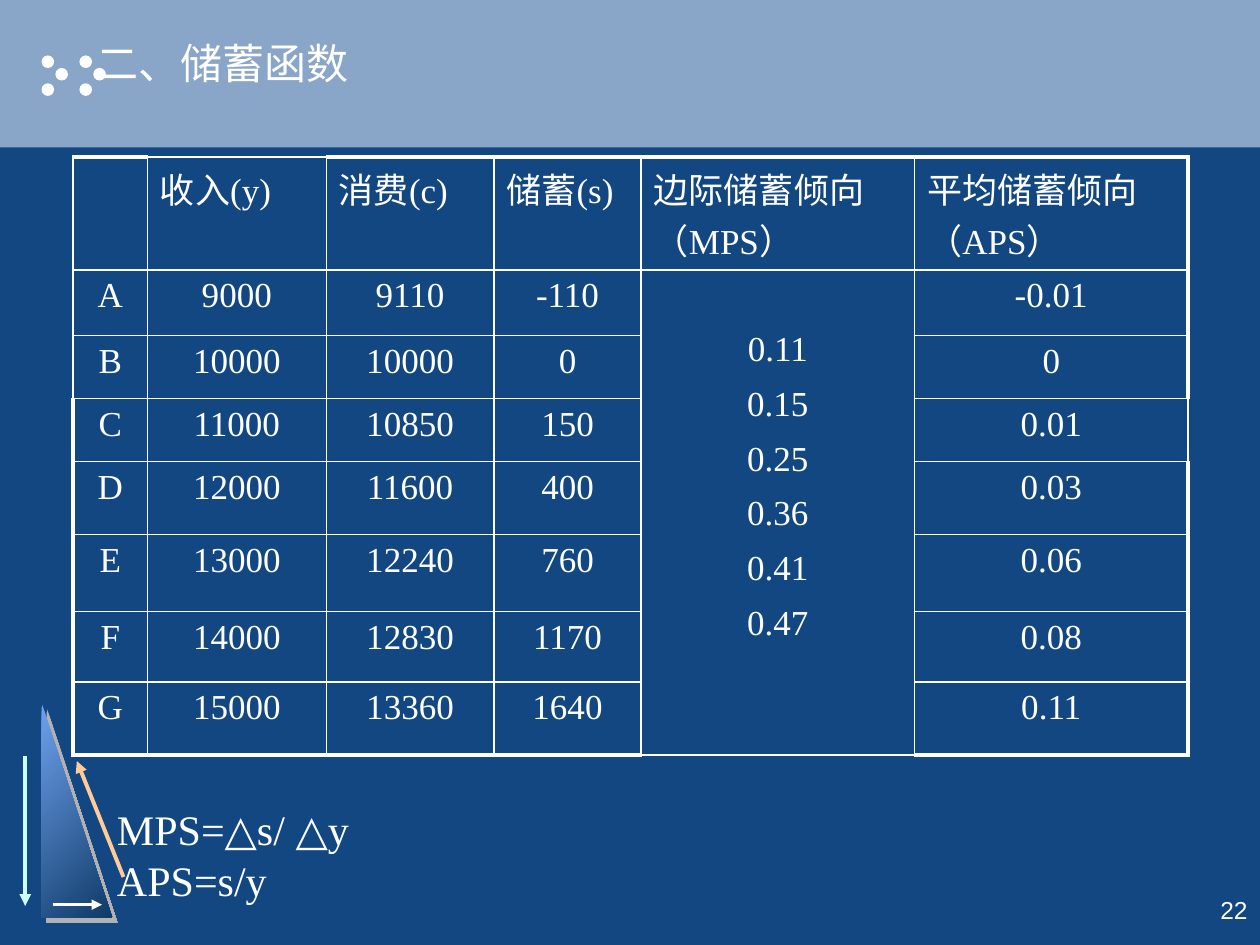
from lxml import etree
from pptx import Presentation
from pptx.dml.color import RGBColor
from pptx.enum.shapes import MSO_CONNECTOR, MSO_SHAPE
from pptx.enum.text import MSO_ANCHOR, PP_ALIGN
from pptx.oxml.ns import qn
from pptx.util import Emu, Inches, Pt

LEFT, CENTER, RIGHT = PP_ALIGN.LEFT, PP_ALIGN.CENTER, PP_ALIGN.RIGHT
TOP, MIDDLE = MSO_ANCHOR.TOP, MSO_ANCHOR.MIDDLE
RECTANGLE, OVAL, RIGHT_TRIANGLE = MSO_SHAPE.RECTANGLE, MSO_SHAPE.OVAL, MSO_SHAPE.RIGHT_TRIANGLE
STRAIGHT = MSO_CONNECTOR.STRAIGHT

COLORS = {
    "background": "134781", "band": "89A5C7", "white": "FFFFFF",
    "light": "6FA2ED", "dark": "0F3A68", "shadow": "B2B2B2",
    "fall": "CCFFFF", "climb": "FFCC99",
}
SERIF, SANS = "Times New Roman", "Arial"
WIDTH, HEIGHT = Inches(10), Inches(7.5)
THIN, THICK = Pt(1), Pt(2.25)

# Boxes are left, top, width, height in percent of the slide
BAND = (0, 0, 100, 15.6)
DOTS = (3.3, 5.87, 5.1, 4.27)
SLOPE = (2, 74.4, 7.8, 22.67)
TITLE = (6.7, 3.33, 22, 6.67)
FORMULAS = (8.3, 84.4, 32.8, 12)
TABLE = (5.8, 16.6, 88.5, 63.33)
PAGE_NUMBER = (74.5, 93.33, 25.5, 6.67)

COLUMN_WEIGHTS = (59, 142, 133, 117, 217, 217)
ROW_WEIGHTS = (90, 52, 50, 50, 58, 61, 56, 58)
HEADINGS = ("", "收入(y)", "消费(c)", "储蓄(s)", "边际储蓄倾向（MPS）", "平均储蓄倾向（APS）")
MPS_COLUMN = 4
MPS_VALUES = ("0.11", "0.15", "0.25", "0.36", "0.41", "0.47")
SAVINGS = (
    ("A", "9000", "9110", "-110", "-0.01"),
    ("B", "10000", "10000", "0", "0"),
    ("C", "11000", "10850", "150", "0.01"),
    ("D", "12000", "11600", "400", "0.03"),
    ("E", "13000", "12240", "760", "0.06"),
    ("F", "14000", "12830", "1170", "0.08"),
    ("G", "15000", "13360", "1640", "0.11"),
)


def rgb(name):
    return RGBColor.from_string(COLORS[name])


def inside(box, left, top, width=0, height=0):
    """Turn percents of a box into percents of the slide."""
    return (box[0] + box[2] * left / 100, box[1] + box[3] * top / 100,
            box[2] * width / 100, box[3] * height / 100)


def lengths(box):
    sides = (WIDTH, HEIGHT, WIDTH, HEIGHT)
    return [Emu(round(side * share / 100)) for side, share in zip(sides, box)]


def write(frame, *lines, size=20, font=SERIF, align=LEFT, before=0):
    for index, line in enumerate(lines):
        paragraph = frame.paragraphs[0] if index == 0 else frame.add_paragraph()
        paragraph.alignment = align
        paragraph.space_before = Pt(before if index else 0)
        run = paragraph.add_run()
        run.text = line
        run.font.size, run.font.name = Pt(size), font
        run.font.color.rgb = rgb("white")


def add_text(slide, box, *lines, anchor=TOP, margin_top=0.05, margin_right=0.1, **style):
    frame = slide.shapes.add_textbox(*lengths(box)).text_frame
    frame.word_wrap = True
    frame.vertical_anchor = anchor
    frame.margin_top, frame.margin_right = Inches(margin_top), Inches(margin_right)
    write(frame, *lines, **style)


def add_solid(slide, preset, box, color):
    shape = slide.shapes.add_shape(preset, *lengths(box))
    shape.shadow.inherit = False
    shape.fill.solid()
    shape.fill.fore_color.rgb = rgb(color)
    shape.line.fill.background()
    return shape


def add_arrow(slide, box, start, end, color, weight):
    points = lengths(inside(box, *start))[:2] + lengths(inside(box, *end))[:2]
    arrow = slide.shapes.add_connector(STRAIGHT, *points)
    arrow.line.color.rgb = rgb(color)
    arrow.line.width = Pt(weight)
    etree.SubElement(arrow.line._get_or_add_ln(), qn("a:tailEnd"), type="triangle")
    etree.SubElement(arrow._element.spPr, qn("a:effectLst"))


def add_dots(slide, box):
    for start in (0, 59):
        for across, down in ((0, 0), (21.5, 31), (0, 69)):
            add_solid(slide, OVAL, inside(box, start + across, down, 19.6, 31.25), "white")


def add_slope(slide, box):
    # Shaded triangle
    triangle = add_solid(slide, RIGHT_TRIANGLE, inside(box, 16.67, 0, 71.8, 100), "light")
    triangle.fill.gradient()
    triangle.fill.gradient_angle = 315
    for stop, color in zip(triangle.fill.gradient_stops, ("light", "dark")):
        stop.color.rgb = rgb(color)
    effects = triangle._element.spPr.find(qn("a:effectLst"))
    shadow = etree.SubElement(effects, qn("a:outerShdw"), dist=str(Pt(4.2)),
                              dir=str(45 * 60000), algn="ctr", rotWithShape="0")
    etree.SubElement(shadow, qn("a:srgbClr"), val=COLORS["shadow"])
    # Arrows along its sides
    add_arrow(slide, box, (0, 24.7), (0, 94.7), "fall", 2.25)
    add_arrow(slide, box, (100, 81.18), (52.56, 27.06), "climb", 2.25)
    add_arrow(slide, box, (28.2, 94.12), (78.2, 94.12), "white", 1.5)


def set_borders(cell, row, column):
    thick_sides = {
        "L": column == 0 and row >= 3,
        "R": column == len(COLUMN_WEIGHTS) - 1 and row != 3,
        "T": row == 0 and column != 1,
        "B": row == len(ROW_WEIGHTS) - 1,
    }
    properties = cell._tc.get_or_add_tcPr()
    for side, thick in thick_sides.items():
        border = etree.SubElement(properties, qn(f"a:ln{side}"), w=str(THICK if thick else THIN))
        fill = etree.SubElement(border, qn("a:solidFill"))
        etree.SubElement(fill, qn("a:srgbClr"), val=COLORS["white"])


def add_savings_table(slide, box):
    left, top, width, height = lengths(box)
    table = slide.shapes.add_table(len(ROW_WEIGHTS), len(COLUMN_WEIGHTS),
                                   left, top, width, height).table
    table.first_row = table.horz_banding = False
    for column, weight in zip(table.columns, COLUMN_WEIGHTS):
        column.width = Emu(width * weight // sum(COLUMN_WEIGHTS))
    for row, weight in zip(table.rows, ROW_WEIGHTS):
        row.height = Emu(height * weight // sum(ROW_WEIGHTS))

    # Headings and values
    for r in range(len(ROW_WEIGHTS)):
        entries = list(HEADINGS if r == 0 else SAVINGS[r - 1])
        if r:
            entries.insert(MPS_COLUMN, "")
        for c, entry in enumerate(entries):
            cell = table.cell(r, c)
            set_borders(cell, r, c)
            cell.fill.background()
            if entry:
                write(cell.text_frame, entry, align=CENTER if r else LEFT)

    # Marginal values stand between the rows they compare
    marginal = table.cell(1, MPS_COLUMN)
    marginal.merge(table.cell(len(SAVINGS), MPS_COLUMN))
    marginal.margin_top = Inches(0.48)
    write(marginal.text_frame, *MPS_VALUES, align=CENTER, before=9)


def main():
    deck = Presentation()
    deck.slide_width, deck.slide_height = WIDTH, HEIGHT
    slide = deck.slides.add_slide(deck.slide_layouts[6])
    slide.background.fill.solid()
    slide.background.fill.fore_color.rgb = rgb("background")

    # Decoration
    add_solid(slide, RECTANGLE, BAND, "band")
    add_dots(slide, DOTS)
    add_slope(slide, SLOPE)

    # Content
    add_text(slide, TITLE, "二、储蓄函数", size=24, anchor=MIDDLE, margin_right=0)
    add_text(slide, FORMULAS, "MPS=△s/ △y", "APS=s/y", size=24)
    add_savings_table(slide, TABLE)
    add_text(slide, PAGE_NUMBER, "22", size=14, font=SANS, align=RIGHT, margin_top=0.1)

    deck.save("out.pptx")


if __name__ == "__main__":
    main()
